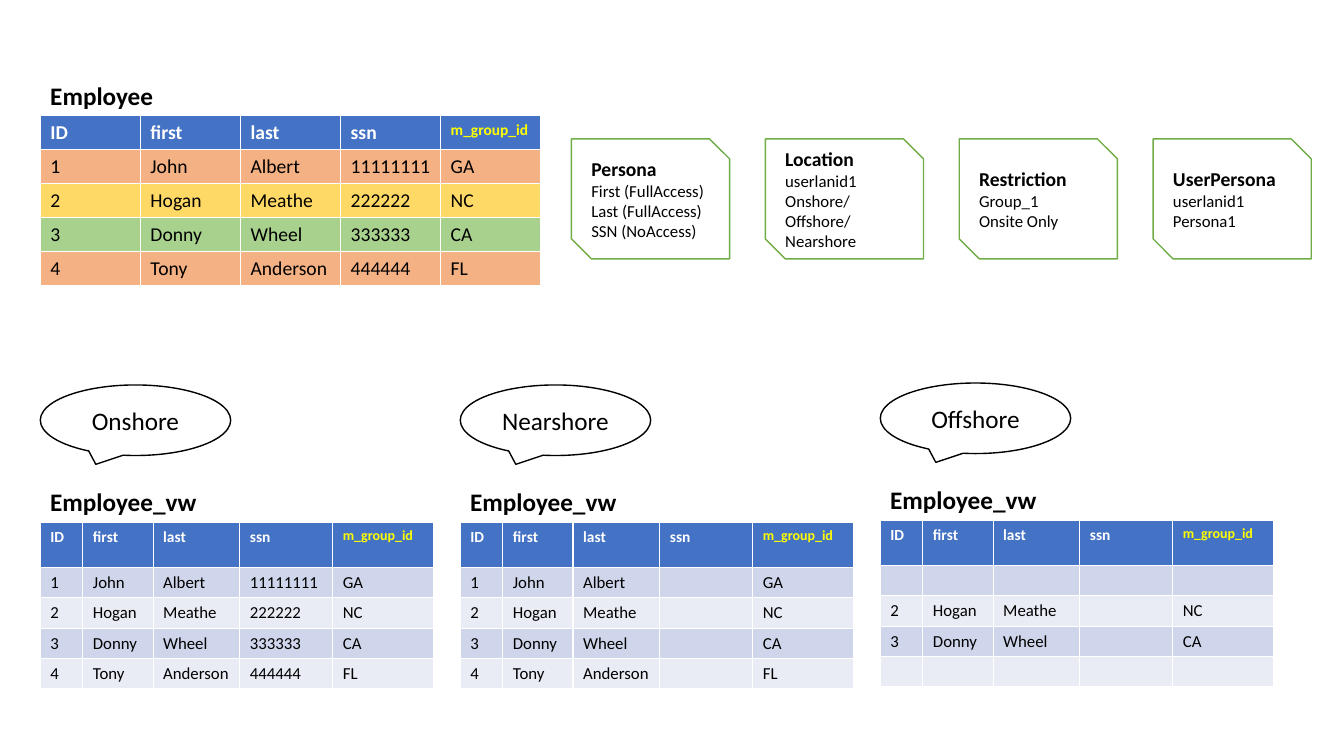
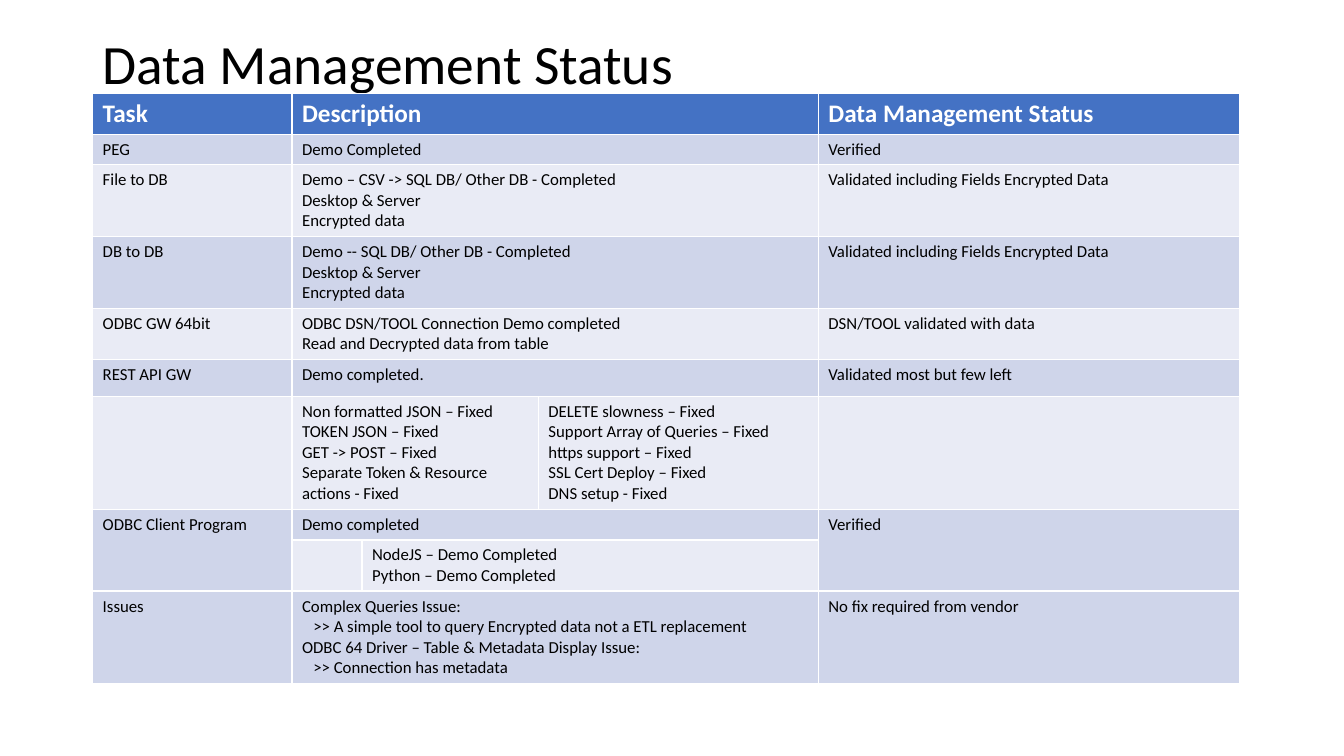
"""Build the employee access views and the data management status table."""
from dataclasses import dataclass
from typing import NamedTuple, Sequence

from pptx import Presentation
from pptx.dml.color import RGBColor
from pptx.enum.shapes import MSO_SHAPE
from pptx.enum.text import MSO_ANCHOR, MSO_AUTO_SIZE, PP_ALIGN
from pptx.util import Pt


@dataclass(frozen=True)
class Theme:
    font: str = "Calibri"
    black: str = "000000"
    white: str = "FFFFFF"
    header: str = "4472C4"
    marker: str = "FFFF00"
    card_line: str = "70AD47"
    bands: tuple = ("CFD5EA", "E9EBF5")
    restricted: str = "F4B183"
    nearshore: str = "FFD966"
    offshore: str = "A9D18E"
    title: float = 39.6
    label: float = 18
    heading: float = 14
    body: float = 12
    small: float = 11
    tiny: float = 10


T = Theme()


class Style(NamedTuple):
    size: float
    color: str = T.black
    bold: bool = False
    align: PP_ALIGN = PP_ALIGN.LEFT


class Line(NamedTuple):
    text: str
    style: Style
    indent: float = 0


class Box(NamedTuple):
    x: float
    y: float
    w: float
    h: float


class Card(NamedTuple):
    heading: str
    details: tuple[str, ...]


class View(NamedTuple):
    audience: str
    rows: list[list[str]]
    shift: float = 0


class StatusRow(NamedTuple):
    height: float
    cells: tuple[str, str, str, str, str]


class Merge(NamedTuple):
    top: int
    left: int
    bottom: int
    right: int


BODY = Style(T.body)
LABEL = Style(T.label, bold=True)
CALLOUT = Style(T.label, align=PP_ALIGN.CENTER)

FIELDS = ["ID", "first", "last", "ssn", "m_group_id"]
EMPLOYEES = [
    ["1", "John", "Albert", "11111111", "GA"],
    ["2", "Hogan", "Meathe", "222222", "NC"],
    ["3", "Donny", "Wheel", "333333", "CA"],
    ["4", "Tony", "Anderson", "444444", "FL"],
]
EMPLOYEE_FILLS = [T.restricted, T.nearshore, T.offshore, T.restricted]
MASKED = [row[:3] + ["", row[4]] for row in EMPLOYEES]
VIEWS = [
    View("Onshore", EMPLOYEES),
    View("Nearshore", MASKED),
    View("Offshore", [row if row[0] in "23" else [""] * 5 for row in MASKED], -1.4),
]
CARDS = [
    Card("Persona", ("First (FullAccess)", "Last (FullAccess)", "SSN (NoAccess)")),
    Card("Location", ("userlanid1", "Onshore/Offshore/Nearshore")),
    Card("Restriction", ("Group_1", "Onsite Only")),
    Card("UserPersona", ("userlanid1", "Persona1")),
]
STATUS = [
    StatusRow(28, ("Task", "Description", "", "", "Data Management Status")),
    StatusRow(22, ("PEG", "Demo Completed", "", "", "Verified")),
    StatusRow(51.2, ("File to DB", "Demo – CSV -> SQL DB/ Other DB - Completed\nDesktop & Server\n"
                     "Encrypted data", "", "", "Validated including Fields Encrypted Data")),
    StatusRow(51.2, ("DB to DB", "Demo -- SQL DB/ Other DB - Completed\nDesktop & Server\n"
                     "Encrypted data", "", "", "Validated including Fields Encrypted Data")),
    StatusRow(36.5, ("ODBC GW 64bit", "ODBC DSN/TOOL Connection Demo completed\n"
                     "Read and Decrypted data from table", "", "",
                     "DSN/TOOL validated with data")),
    StatusRow(26.5, ("REST API GW", "Demo completed.", "", "", "Validated most but few left")),
    StatusRow(80.6, ("", "Non formatted JSON – Fixed\nTOKEN JSON – Fixed\nGET -> POST – Fixed\n"
                     "Separate Token & Resource actions - Fixed", "",
                     "DELETE slowness – Fixed\nSupport Array of Queries – Fixed\n"
                     "https support – Fixed\nSSL Cert Deploy – Fixed\nDNS setup - Fixed", "")),
    StatusRow(22, ("ODBC Client Program", "Demo completed", "", "", "Verified")),
    StatusRow(36.5, ("", "", "NodeJS – Demo Completed\nPython – Demo Completed", "", "")),
    StatusRow(65.8, ("Issues", "Complex Queries Issue:\n"
                     ">> A simple tool to query Encrypted data not a ETL replacement\n"
                     "ODBC 64 Driver – Table & Metadata Display Issue:\n"
                     ">> Connection has metadata", "", "",
                     "No fix required from vendor")),
]
MERGES = [Merge(i, 1, i, 3) for i in (0, 1, 2, 3, 4, 5, 7, 9)] + [
    Merge(6, 1, 6, 2), Merge(8, 2, 8, 3), Merge(7, 0, 8, 0), Merge(7, 4, 8, 4)]


def rgb(color: str) -> RGBColor:
    return RGBColor.from_string(color)


def points(box: Box) -> list[Pt]:
    return [Pt(v) for v in box]


def write(tf, lines: Sequence[Line]) -> None:
    for i, line in enumerate(lines):
        p = tf.add_paragraph() if i else tf.paragraphs[0]
        p.alignment = line.style.align
        p.font.name = T.font
        p.font.size = Pt(line.style.size)
        p.font.bold = line.style.bold
        p.font.color.rgb = rgb(line.style.color)
        if line.indent:
            p._p.get_or_add_pPr().set("marL", str(Pt(line.indent)))
        if line.text:
            p.add_run().text = line.text
        else:
            p._p.get_or_add_endParaRPr().set("sz", str(int(line.style.size * 100)))


def add_label(slide, box: Box, text: str) -> None:
    tf = slide.shapes.add_textbox(*points(box)).text_frame
    tf.word_wrap = True
    write(tf, [Line(text, LABEL)])


def add_outline(slide, kind: MSO_SHAPE, box: Box, color: str, lines: Sequence[Line]) -> None:
    sp = slide.shapes.add_shape(kind, *points(box))
    sp.shadow.inherit = False
    sp.fill.solid()
    sp.fill.fore_color.rgb = rgb(T.white)
    sp.line.color.rgb = rgb(color)
    sp.line.width = Pt(1)
    sp.text_frame.word_wrap = True
    sp.text_frame.vertical_anchor = MSO_ANCHOR.MIDDLE
    write(sp.text_frame, lines)


def add_grid(slide, x: float, y: float, widths: Sequence[float], heights: Sequence[float],
             rows: Sequence[Sequence[str]], fills: Sequence[str], head: Sequence[Style],
             body: Style):
    box = Box(x, y, sum(widths), sum(heights))
    table = slide.shapes.add_table(len(rows), len(widths), *points(box)).table
    for column, width in zip(table.columns, widths):
        column.width = Pt(width)
    for i, (row, height) in enumerate(zip(rows, heights)):
        table.rows[i].height = Pt(height)
        for j, text in enumerate(row):
            cell = table.cell(i, j)
            cell.fill.solid()
            cell.fill.fore_color.rgb = rgb(fills[i - 1] if i else T.header)
            style = body if i else head[j]
            write(cell.text_frame, [Line(part, style, 8 if part.startswith(">>") else 0)
                                    for part in text.split("\n")])
    return table


def header_styles(size: float, marker_size: float) -> list[Style]:
    return [Style(size, T.white, True)] * 4 + [Style(marker_size, T.marker, True)]


def banded(count: int) -> list[str]:
    return [T.bands[i % 2] for i in range(count)]


def build_access(prs) -> None:
    slide = prs.slides.add_slide(prs.slide_layouts[6])
    left = 28.8
    add_label(slide, Box(left, 53.5, 101.5, 29), "Employee")
    add_grid(slide, left, 82.6, [71.5] * 5, [24.3] * 5, [FIELDS] + EMPLOYEES,
             EMPLOYEE_FILLS, header_styles(T.heading, T.small), Style(T.heading))
    for i, card in enumerate(CARDS):
        lines = [Line(card.heading, Style(T.heading, bold=True))]
        lines += [Line(text, BODY) for text in card.details]
        add_outline(slide, MSO_SHAPE.SNIP_2_DIAG_RECTANGLE,
                    Box(408.2 + 138.5 * i, 99.2, 113, 85.7), T.card_line, lines)
    for i, view in enumerate(VIEWS):
        x, dy = left + 300 * i, view.shift
        add_outline(slide, MSO_SHAPE.OVAL_CALLOUT, Box(x, 275 + dy, 136, 50.4), T.black,
                    [Line(view.audience, CALLOUT)])
        add_label(slide, Box(x, 343.6 + dy, 122.5, 29), "Employee_vw")
        add_grid(slide, x, 373 + dy, [30.4, 50.2, 62, 66.4, 72], [32.4] + [21.6] * 4,
                 [FIELDS] + view.rows, banded(4), header_styles(T.small, T.tiny), BODY)


def build_status(prs) -> None:
    slide = prs.slides.add_slide(prs.slide_layouts[5])
    title = slide.shapes.title
    title.left, title.top, title.width, title.height = points(Box(66.2, 28.8, 828, 37.6))
    tf = title.text_frame
    tf.auto_size = MSO_AUTO_SIZE.NONE
    tf.vertical_anchor = MSO_ANCHOR.MIDDLE
    write(tf, [Line("Data Management Status", Style(T.title))])
    tf.paragraphs[0].line_spacing = 0.9
    table = add_grid(slide, 66.2, 66.6, [142.4, 50, 126, 200, 301],
                     [row.height for row in STATUS], [row.cells for row in STATUS],
                     banded(len(STATUS) - 1), [Style(T.label, T.white, True)] * 5, BODY)
    for m in MERGES:
        table.cell(m.top, m.left).merge(table.cell(m.bottom, m.right))


def main() -> None:
    prs = Presentation()
    prs.slide_width, prs.slide_height = Pt(960), Pt(540)
    build_access(prs)
    build_status(prs)
    prs.save("out.pptx")


main()
